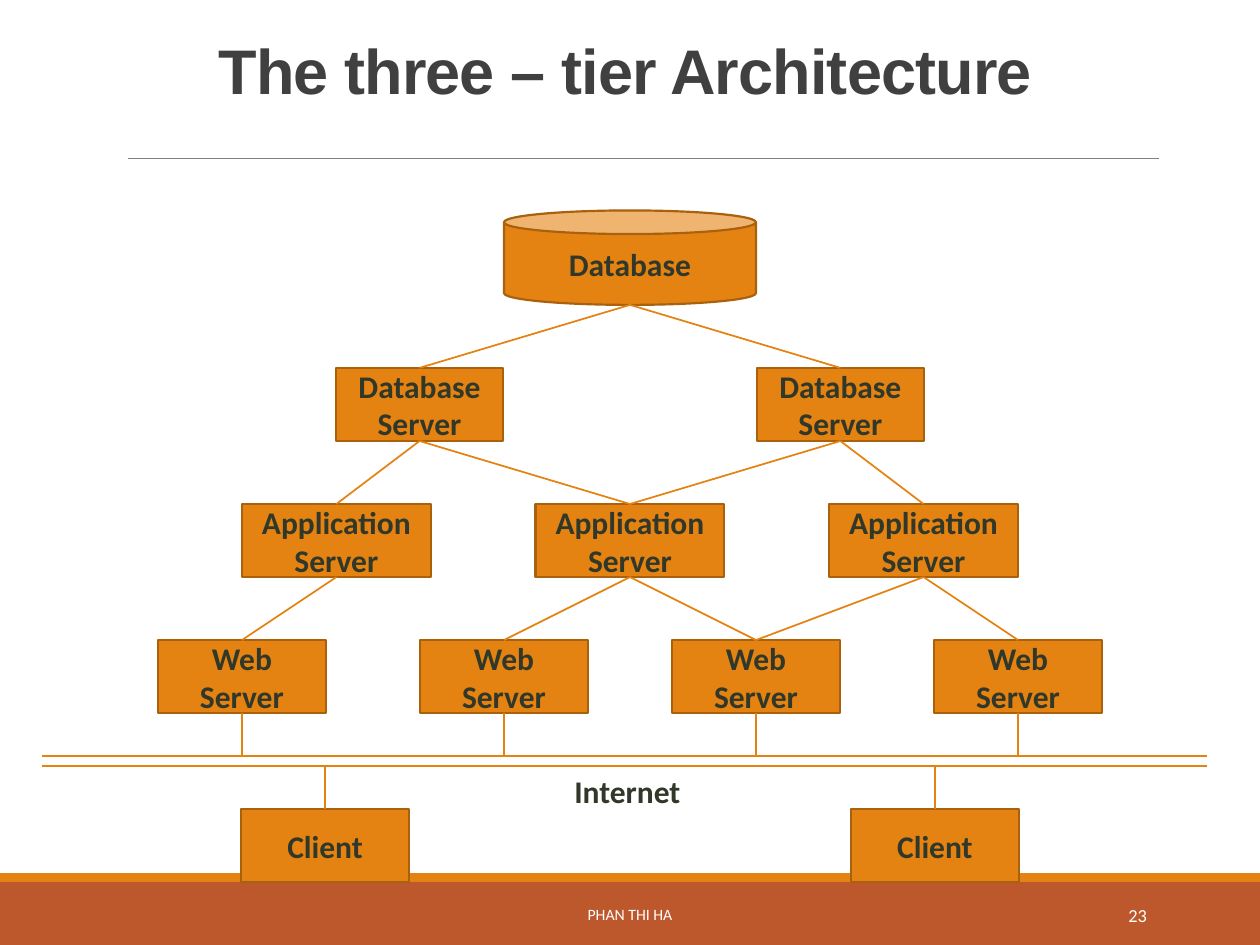
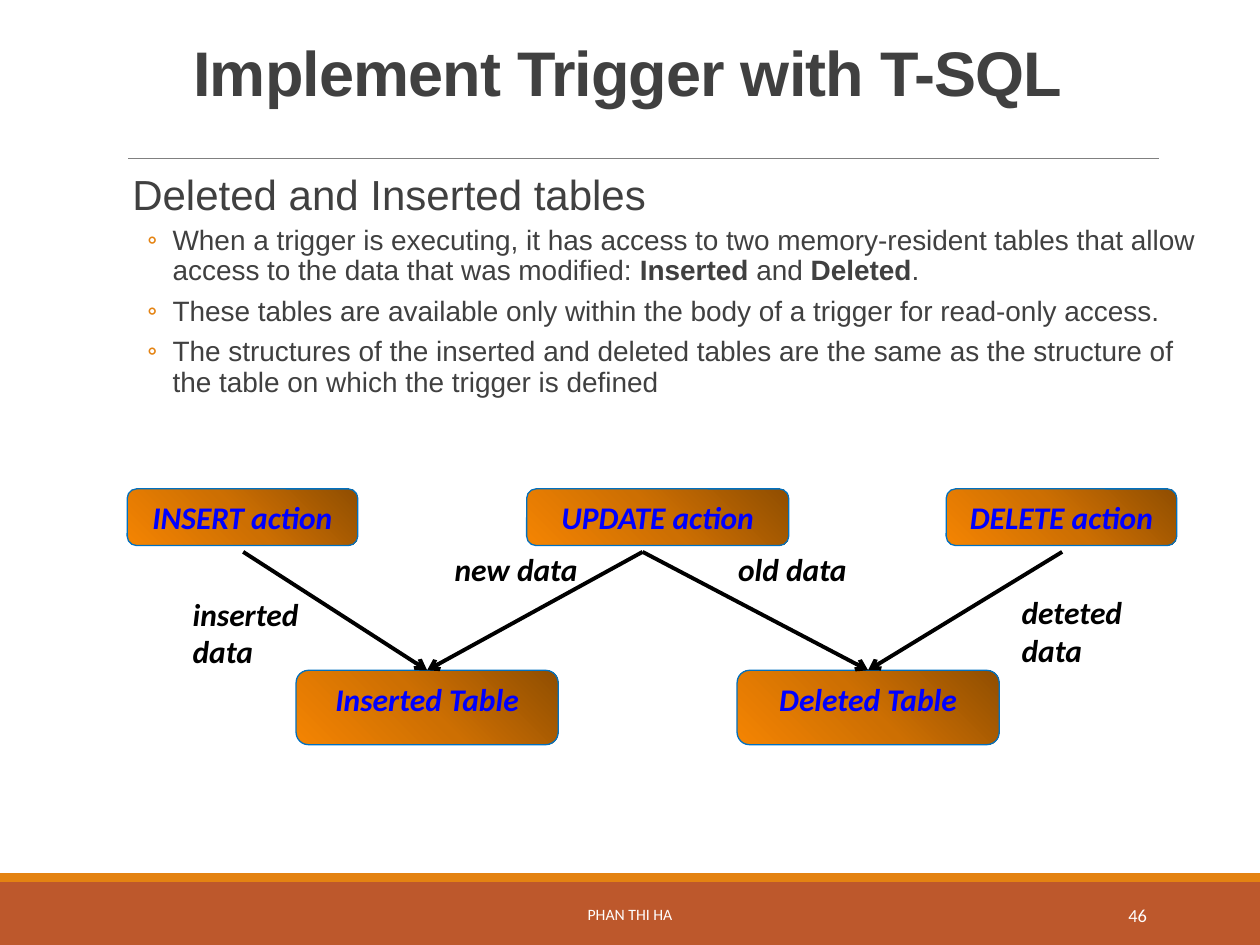
from pptx import Presentation
from pptx.dml.color import RGBColor
from pptx.enum.shapes import MSO_CONNECTOR, MSO_SHAPE
from pptx.enum.text import MSO_ANCHOR, PP_ALIGN
from pptx.oxml import parse_xml
from pptx.oxml.ns import nsdecls, qn
from pptx.util import Inches, Pt
from lxml.etree import SubElement

# Colours
ORANGE, RUST, BROWN = "E48312", "BD582C", "A9610D"
GREY, RULE_GREY, DARK_GREEN = "404040", "808080", "313829"
BLUE, BORDER_BLUE, BLACK, WHITE = "0000FF", "0070C0", "000000", "FFFFFF"
GRADIENT = [(0, "904E01"), (50, "CD6F02"), (100, "F48402")]

# Text styles: colour, anchor, paragraph values, font values
LEFT, CENTER, RIGHT = PP_ALIGN.LEFT, PP_ALIGN.CENTER, PP_ALIGN.RIGHT
TOP, MIDDLE = MSO_ANCHOR.TOP, MSO_ANCHOR.MIDDLE
BOLD = {"name": "Calibri", "size": Pt(18), "bold": True}
BOLD_ITALIC = {**BOLD, "italic": True}
STYLES = {
    "title": (GREY, TOP, {"alignment": CENTER, "line_spacing": 0.85},
              {"name": "Arial", "size": Pt(36), "bold": True}),
    "footer": (WHITE, MIDDLE, {"alignment": CENTER}, {"name": "Calibri", "size": Pt(9)}),
    "number": (WHITE, MIDDLE, {"alignment": RIGHT}, {"name": "Calibri", "size": Pt(10.5)}),
    "node": (DARK_GREEN, MIDDLE, {"alignment": CENTER}, BOLD),
    "network": (DARK_GREEN, TOP, {"alignment": LEFT}, BOLD),
    "trigger": (BLUE, TOP, {"alignment": CENTER}, BOLD_ITALIC),
    "label": (BLACK, TOP, {"alignment": LEFT}, BOLD_ITALIC),
}


def add_box(slide, place, text="", style=None, kind=None, fill=None, border=None, width=1.25):
    """Add a preset shape, or a text box when no kind is given."""
    lengths = [Inches(value) for value in place]
    if kind is None:
        shape = slide.shapes.add_textbox(*lengths)
    else:
        shape = slide.shapes.add_shape(kind, *lengths)
        shape.shadow.inherit = False
        shape.fill.solid()
        shape.fill.fore_color.rgb = RGBColor.from_string(fill)
        if border:
            shape.line.color.rgb = RGBColor.from_string(border)
            shape.line.width = Pt(width)
        else:
            shape.line.fill.background()
    if text:
        color, anchor, paragraph_format, font_format = STYLES[style]
        shape.text_frame.word_wrap = True
        shape.text_frame.vertical_anchor = anchor
        paragraph = shape.text_frame.paragraphs[0]
        run = paragraph.add_run()
        run.text = text
        run.font.color.rgb = RGBColor.from_string(color)
        for target, values in ((paragraph, paragraph_format), (run.font, font_format)):
            for name, value in values.items():
                setattr(target, name, value)
    return shape


def add_line(slide, start, end, color=ORANGE, width=1, arrow=False):
    """Join two ends; an end is a point or a (shape, side) pair."""
    points = [(0, 0) if hasattr(stop[0], "shape_id") else stop for stop in (start, end)]
    line = slide.shapes.add_connector(
        MSO_CONNECTOR.STRAIGHT, *[Inches(value) for point in points for value in point])
    for stop, connect in ((start, line.begin_connect), (end, line.end_connect)):
        if hasattr(stop[0], "shape_id"):
            connect(*stop)
    line.line.color.rgb = RGBColor.from_string(color)
    line.line.width = Pt(width)
    if arrow:
        SubElement(line.line._get_or_add_ln(), qn("a:tailEnd"), type="arrow")
    SubElement(line._element.spPr, qn("a:effectLst"))


presentation = Presentation()
presentation.slide_width = Inches(10)
presentation.slide_height = Inches(7.5)

# Bands, rule, title and footer of each slide
slides = []
for title, number, left, top in [("The three – tier Architecture", "23", 0.62, 0.29),
                                 ("Implement Trigger with T-SQL", "46", 0.64, 0.31)]:
    slide = presentation.slides.add_slide(presentation.slide_layouts[6])
    add_box(slide, (0, 7, 10, 0.5), kind=MSO_SHAPE.RECTANGLE, fill=RUST)
    add_box(slide, (0, 6.93, 10, 0.07), kind=MSO_SHAPE.RECTANGLE, fill=ORANGE)
    add_line(slide, (1.02, 1.26), (9.2, 1.26), RULE_GREY, 0.5)
    heading = add_box(slide, (left, top, 8.68, 0.92), title, "title")
    heading.text_frame.paragraphs[0].runs[0].font._element.set("spc", "-50")
    add_box(slide, (3.02, 7.06, 3.96, 0.4), "PHAN THI HA", "footer")
    add_box(slide, (8.12, 7.06, 1.08, 0.4), number, "number")
    slides.append(slide)
architecture, trigger = slides

# Architecture: the database and the tiers of servers below it
add_box(architecture, (4, 1.67, 2, 0.75), "Database", "node", MSO_SHAPE.CAN, ORANGE, BROWN)
NODE_HEIGHT = 0.58
tiers = {}
for name, top, width, centers in [
    ("Database Server", 2.92, 1.33, (3.33, 6.67)),
    ("Application Server", 4, 1.5, (2.67, 5, 7.33)),
    ("Web Server", 5.08, 1.33, (1.92, 4, 6, 8.08)),
    ("Client", 6.42, 1.33, (2.58, 7.42)),
]:
    tiers[name] = [
        add_box(architecture, (center - width / 2, top, width, NODE_HEIGHT), name, "node",
                MSO_SHAPE.RECTANGLE, ORANGE, BROWN)
        for center in centers]

# Links between neighbouring tiers, as (upper, lower) positions
for server in tiers["Database Server"]:
    add_line(architecture, (5, 2.42), (server, 0))
for upper, lower, links in [
    ("Database Server", "Application Server", [(0, 0), (0, 1), (1, 1), (1, 2)]),
    ("Application Server", "Web Server", [(0, 0), (1, 1), (1, 2), (2, 2), (2, 3)]),
]:
    for above, below in links:
        add_line(architecture, (tiers[upper][above], 2), (tiers[lower][below], 0))

# Internet: two long lines that servers and clients reach
INTERNET_TOP, INTERNET_BOTTOM = 6, 6.08
for height in (INTERNET_TOP, INTERNET_BOTTOM):
    add_line(architecture, (0.33, height), (9.58, height))
for server, center in zip(tiers["Web Server"], (1.92, 4, 6, 8.08)):
    add_line(architecture, (server, 2), (center, INTERNET_TOP))
for client, center in zip(tiers["Client"], (2.58, 7.42)):
    add_line(architecture, (client, 0), (center, INTERNET_BOTTOM))
add_box(architecture, (4.46, 6.08, 1.09, 0.4), "Internet", "network")

# Trigger: heading and bullets, every second part of a paragraph is bold
body = trigger.shapes.add_textbox(Inches(0.95), Inches(1.33), Inches(8.68), Inches(2.3))
frame = body.text_frame
frame.word_wrap = True
frame.margin_left = frame.margin_right = 0
for index, parts in enumerate([
    ["Deleted and Inserted tables"],
    ["When a trigger is executing, it has access to two memory-resident tables that allow "
     "access to the data that was modified: ", "Inserted", " and ", "Deleted", "."],
    ["These tables are available only within the body of a trigger for read-only access."],
    ["The structures of the inserted and deleted tables are the same as the structure of "
     "the table on which the trigger is defined"],
]):
    bullet = index > 0
    paragraph = frame.add_paragraph() if bullet else frame.paragraphs[0]
    spacing = {"line_spacing": 0.9, "level": int(bullet),
               "space_before": Pt(2 if bullet else 12), "space_after": Pt(4 if bullet else 2)}
    for name, value in spacing.items():
        setattr(paragraph, name, value)
    properties = paragraph._p.get_or_add_pPr()
    properties.set("marL", str(Inches(0.42 if bullet else 0.1)))
    properties.set("indent", str(Inches(-0.2 if bullet else 0)))
    if bullet:
        bullet_color = SubElement(properties, qn("a:buClr"))
        SubElement(bullet_color, qn("a:srgbClr"), val=ORANGE)
        SubElement(properties, qn("a:buFont"), typeface="Calibri")
        SubElement(properties, qn("a:buChar"), char="◦")
    for position, text in enumerate(parts):
        run = paragraph.add_run()
        run.text = text
        run.font.color.rgb = RGBColor.from_string(GREY)
        font_format = {"name": "Arial", "size": Pt(16 if bullet else 24),
                       "bold": position % 2 == 1}
        for name, value in font_format.items():
            setattr(run.font, name, value)

# Actions and tables, shaded from the top right corner
stops = "".join(f'<a:gs pos="{position * 1000}"><a:srgbClr val="{color}"/></a:gs>'
                for position, color in GRADIENT)
boxes = {}
for text, place in {
    "Inserted Table": (2.35, 5.32, 2.08, 0.59),
    "Deleted Table": (5.85, 5.32, 2.08, 0.59),
    "INSERT action": (1.01, 3.88, 1.83, 0.45),
    "UPDATE action": (4.18, 3.88, 2.08, 0.45),
    "DELETE action": (7.51, 3.88, 1.83, 0.45),
}.items():
    shape = add_box(trigger, place, text, "trigger", MSO_SHAPE.ROUNDED_RECTANGLE,
                    ORANGE, BORDER_BLUE, 0.75)
    properties = shape._element.spPr
    properties.replace(properties.find(qn("a:solidFill")), parse_xml(
        f'<a:gradFill {nsdecls("a")} rotWithShape="1"><a:gsLst>{stops}</a:gsLst>'
        '<a:path path="circle"><a:fillToRect l="100000" b="100000"/></a:path></a:gradFill>'))
    boxes[text] = shape

# Arrows from just below each action to the table it fills
for start, table in [(1.93, "Inserted Table"), (5.1, "Deleted Table"),
                     (5.1, "Inserted Table"), (8.43, "Deleted Table")]:
    add_line(trigger, (start, 4.38), (boxes[table], 0), BLACK, 2.25, arrow=True)

# Arrow labels
for text, left, top, height in [("inserted data", 1.43, 4.67, 0.71),
                                ("new data", 3.51, 4.32, 0.4),
                                ("old data", 5.76, 4.32, 0.4),
                                ("deteted data", 8.01, 4.66, 0.71)]:
    add_box(trigger, (left, top, 1.25, height), text, "label")

presentation.save("out.pptx")
